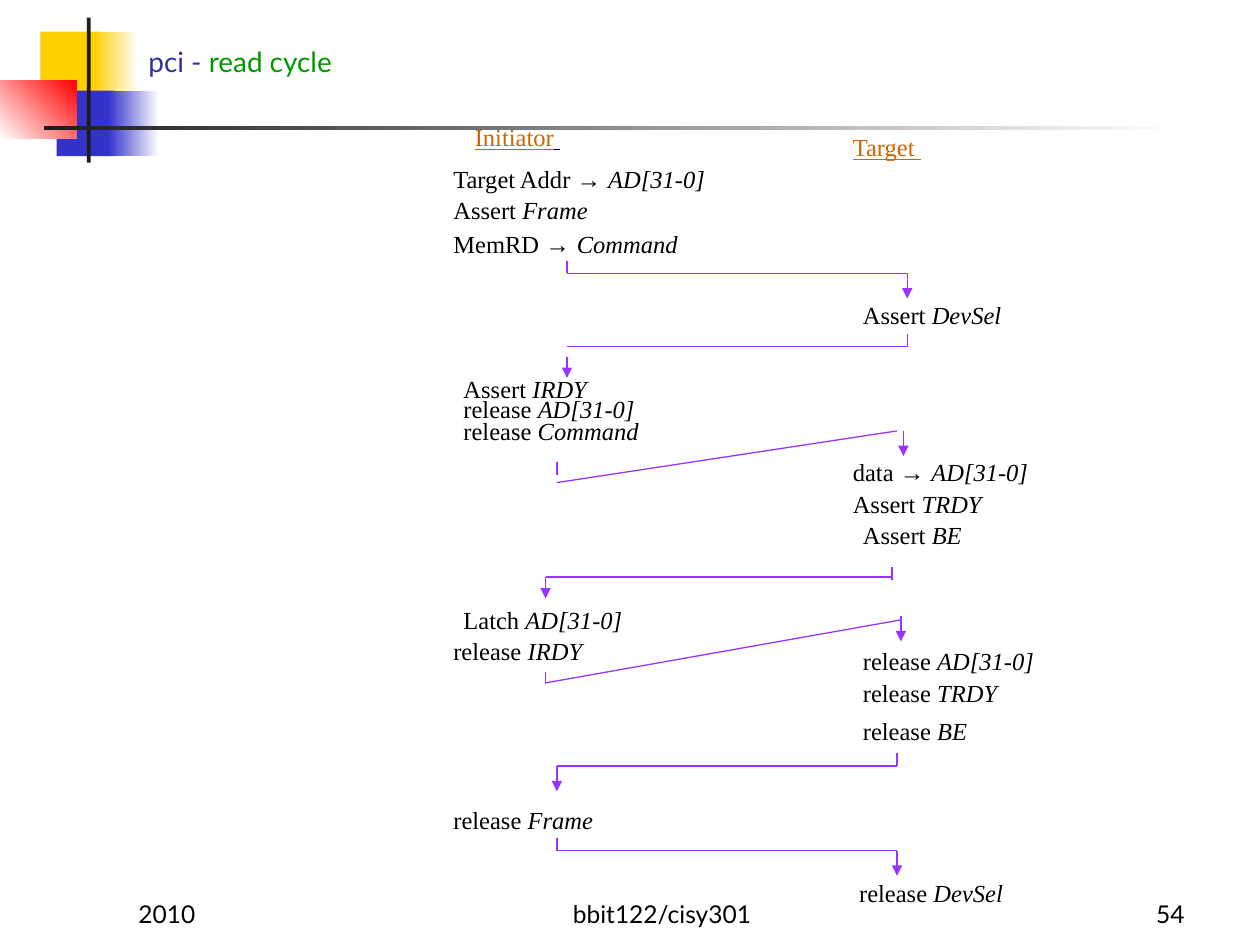
"""Build the PCI read cycle slide: initiator and target steps joined by arrows."""
from dataclasses import dataclass

from lxml import etree
from pptx import Presentation
from pptx.dml.color import RGBColor
from pptx.enum.shapes import MSO_CONNECTOR, MSO_SHAPE
from pptx.enum.text import MSO_ANCHOR, PP_ALIGN
from pptx.oxml.ns import qn
from pptx.util import Emu, Pt

RECT = MSO_SHAPE.RECTANGLE
STRAIGHT = MSO_CONNECTOR.STRAIGHT
TOP, BOTTOM = MSO_ANCHOR.TOP, MSO_ANCHOR.BOTTOM
LEFT, CENTER, RIGHT = PP_ALIGN.LEFT, PP_ALIGN.CENTER, PP_ALIGN.RIGHT
EMU_PER_PX = 9144


@dataclass(frozen=True)
class Theme:
    black: str = "000000"
    white: str = "FFFFFF"
    yellow: str = "FFCF01"
    blue: str = "3333CC"
    red: str = "FF0000"
    dark: str = "1C1C1C"
    title: str = "333399"
    accent: str = "009900"
    heading: str = "CC6600"
    flow: str = "9933FF"
    sans: str = "Lato"
    serif: str = "Times New Roman"
    symbol: str = "Arial"
    title_size: int = 16
    body_size: int = 14
    line_width: float = 0.75


THEME = Theme()


def px(n):
    return Emu(n * EMU_PER_PX)


def rgb(color):
    return RGBColor.from_string(color)


def add_run(p, text, size=THEME.body_size, font=THEME.serif,
            color=THEME.black, italic=None, underline=None):
    r = p.add_run()
    r.text = text
    r.font.size = Pt(size)
    r.font.name = font
    r.font.color.rgb = rgb(color)
    r.font.italic = italic
    r.font.underline = underline


class SlideBuilder:
    def __init__(self, slide, theme):
        self.s = slide
        self.theme = theme

    def rect(self, x, y, w, h, color, end=None, angle=0):
        sp = self.s.shapes.add_shape(RECT, px(x), px(y), px(w), px(h))
        sp.shadow.inherit = False
        sp.line.fill.background()
        if end is None:
            sp.fill.solid()
            sp.fill.fore_color.rgb = rgb(color)
            return
        sp.fill.gradient()
        sp.fill.gradient_angle = angle
        for stop, c in zip(sp.fill.gradient_stops, (color, end)):
            stop.color.rgb = rgb(c)

    def text(self, x, y, w, h, anchor=TOP, align=LEFT):
        tf = self.s.shapes.add_textbox(px(x), px(y), px(w), px(h)).text_frame
        tf.word_wrap = True
        tf.vertical_anchor = anchor
        p = tf.paragraphs[0]
        p.alignment = align
        return p

    def step(self, x, y, w, h, action, signal, drives=False):
        p = self.text(x, y, w, h)
        add_run(p, action + " ")
        if drives:
            add_run(p, "→ ", font=self.theme.symbol)
        add_run(p, signal, italic=True)

    def line(self, x1, y1, x2, y2, arrow=False):
        sp = self.s.shapes.add_connector(STRAIGHT, px(x1), px(y1), px(x2), px(y2))
        sp.line.color.rgb = rgb(self.theme.flow)
        sp.line.width = Pt(self.theme.line_width)
        props = sp._element.spPr
        if arrow:
            etree.SubElement(props.find(qn("a:ln")), qn("a:tailEnd"), type="triangle")
        etree.SubElement(props, qn("a:effectLst"))

    def handoff(self, stub, link, arrow):
        x, y = stub
        self.line(x, y, x, y + 10)
        self.line(*link)
        x, y, length = arrow
        self.line(x, y, x, y + length, arrow=True)


DECORATION = [
    (32, 25, 48, 52, THEME.yellow),
    (74, 25, 36, 52, THEME.yellow, THEME.white),
    (45, 72, 46, 52, THEME.blue),
    (86, 72, 40, 52, THEME.blue, THEME.white),
    (0, 64, 61, 46, THEME.white, THEME.red, 45),
    (69, 14, 3, 115, THEME.dark),
    (35, 100, 900, 3, THEME.dark, THEME.white),
]

FOOTERS = [
    (100, 208, LEFT, "2010"),
    (367, 317, CENTER, "bbit122/cisy301"),
    (742, 208, RIGHT, "54"),
]

STEPS = [
    (350, 125, 233, 38, "Target Addr", "AD[31-0]", True),
    (350, 150, 177, 25, "Assert", "Frame"),
    (350, 177, 223, 32, "MemRD", "Command", True),
    (675, 233, 175, 33, "Assert", "DevSel"),
    (358, 292, 178, 34, "Assert", "IRDY"),
    (358, 308, 188, 34, "release", "AD[31-0]"),
    (358, 325, 204, 34, "release", "Command"),
    (667, 358, 208, 33, "data", "AD[31-0]", True),
    (667, 383, 177, 34, "Assert", "TRDY"),
    (675, 408, 177, 33, "Assert", "BE"),
    (358, 475, 167, 28, "Latch", "AD[31-0]"),
    (350, 500, 157, 28, "release", "IRDY"),
    (675, 508, 242, 25, "release", "AD[31-0]"),
    (675, 533, 161, 25, "release", "TRDY"),
    (675, 563, 161, 25, "release", "BE"),
    (350, 634, 172, 32, "release", "Frame"),
    (672, 692, 178, 33, "release", "DevSel"),
]

HANDOFFS = [
    ((450, 207), (450, 217, 720, 217), (720, 217, 20)),
    ((720, 265), (720, 275, 450, 275), (450, 283, 17)),
    ((442, 367), (442, 383, 712, 342), (717, 342, 20)),
    ((708, 450), (708, 458, 433, 458), (433, 458, 17)),
    ((433, 533), (433, 542, 715, 492), (715, 489, 20)),
    ((712, 598), (712, 608, 442, 608), (442, 608, 20)),
    ((442, 665), (442, 675, 712, 675), (712, 675, 20)),
]


def main():
    prs = Presentation()
    prs.slide_width, prs.slide_height = px(1000), px(750)
    b = SlideBuilder(prs.slides.add_slide(prs.slide_layouts[6]), THEME)

    for block in DECORATION:
        b.rect(*block)
    for x, w, align, label in FOOTERS:
        add_run(b.text(x, 692, w, 50, BOTTOM, align), label, font=THEME.sans)

    title = b.text(108, 17, 242, 50, BOTTOM)
    for label, color in (("pci - ", THEME.title), ("read cycle", THEME.accent)):
        add_run(title, label, size=THEME.title_size, font=THEME.sans, color=color)

    initiator = b.text(367, 92, 175, 33)
    add_run(initiator, "Initiator", color=THEME.heading, underline=True)
    add_run(initiator, " ", underline=True)
    target = b.text(667, 100, 115, 25)
    add_run(target, "Target ", color=THEME.heading, underline=True)

    for step in STEPS:
        b.step(*step)
    for handoff in HANDOFFS:
        b.handoff(*handoff)

    prs.save("out.pptx")


if __name__ == "__main__":
    main()
